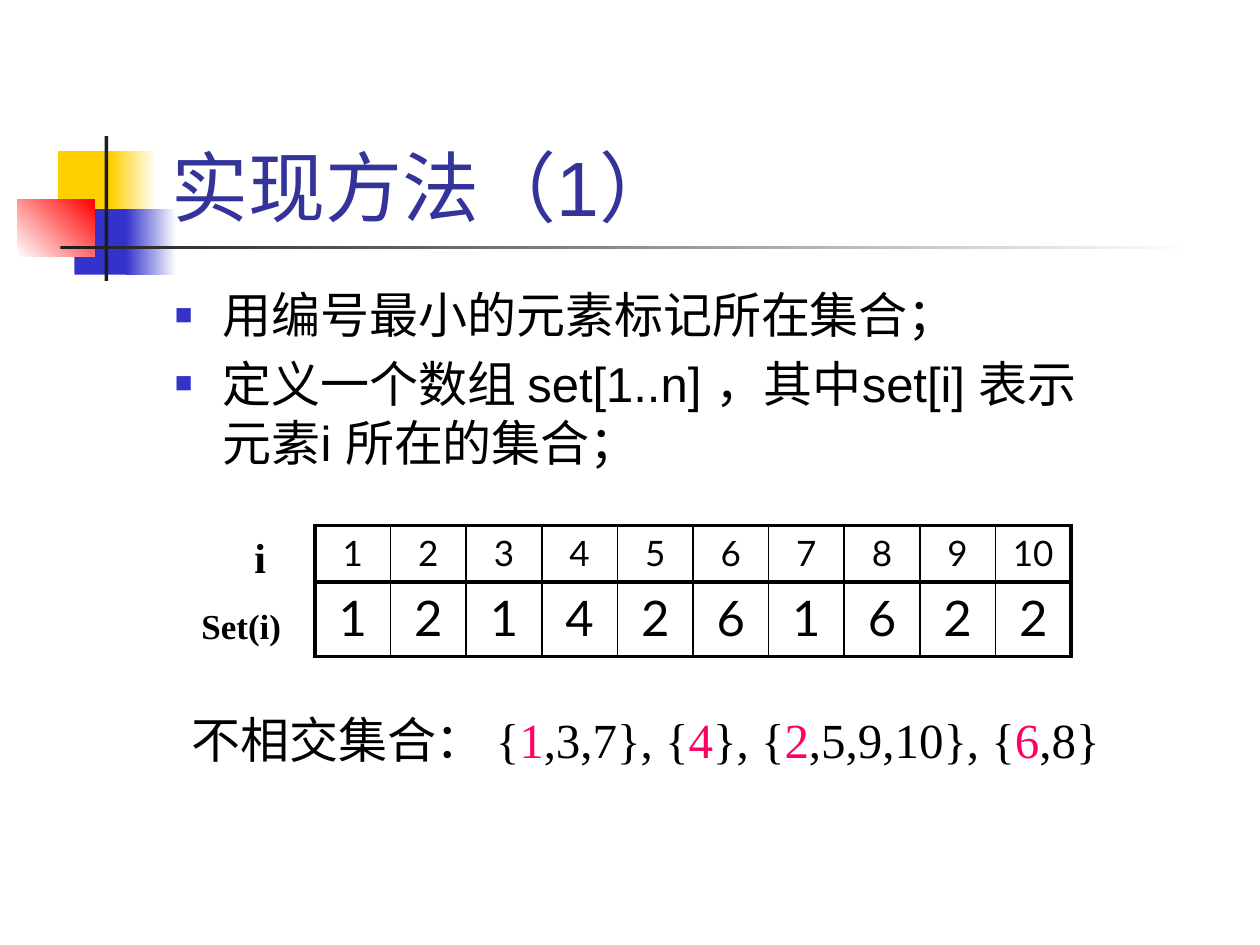
from dataclasses import dataclass

from lxml import etree
from pptx import Presentation
from pptx.dml.color import RGBColor
from pptx.enum import shapes, text
from pptx.oxml import ns
from pptx.util import Inches, Pt


@dataclass(frozen=True)
class Theme:
    gold: str = "FFCF01"
    blue: str = "3333CC"
    red: str = "FF0000"
    white: str = "FFFFFF"
    dark: str = "1C1C1C"
    navy: str = "333399"
    black: str = "000000"
    pink: str = "FF0066"
    sans: str = "Arial"
    serif: str = "Times New Roman"
    digit: str = "Lato"
    head: int = 44
    large: int = 28
    mid: int = 24
    small: int = 20
    thick: float = 2.25
    thin: float = 1


T = Theme()


def rgb(code):
    return RGBColor.from_string(code)


def style(para, face, size, color=T.black, bold=False):
    font = para.font
    font.name, font.size, font.bold = face, Pt(size), bold
    font.color.rgb = rgb(color)


def add_rect(slide, box, first, last=None, angle=0):
    rect = slide.shapes.add_shape(
        shapes.MSO_SHAPE.RECTANGLE, *map(Inches, box))
    rect.shadow.inherit = False
    rect.line.fill.background()
    if last is None:
        rect.fill.solid()
        rect.fill.fore_color.rgb = rgb(first)
        return
    rect.fill.gradient()
    rect.fill.gradient_angle = angle
    for stop, color in zip(rect.fill.gradient_stops, (first, last)):
        stop.color.rgb = rgb(color)


def add_motif(slide, left, top):
    parts = (
        ((0.32, 0.12, 0.48, 0.52), T.gold),
        ((0.74, 0.12, 0.36, 0.52), T.gold, T.white),
        ((0.45, 0.58, 0.46, 0.52), T.blue),
        ((0.86, 0.58, 0.4, 0.52), T.blue, T.white),
        ((0, 0.5, 0.61, 0.46), T.white, T.red, 45),
        ((0.69, 0, 0.03, 1.15), T.dark),
        ((0.34, 0.87, 9, 0.03), T.dark, T.white),
    )
    for (x, y, wide, high), *paint in parts:
        add_rect(slide, (left + x, top + y, wide, high), *paint)


def add_title(slide, box, words):
    title = slide.shapes.title
    title.left, title.top, title.width, title.height = map(Inches, box)
    frame = title.text_frame
    frame.text = words
    frame.vertical_anchor = text.MSO_ANCHOR.BOTTOM
    para = frame.paragraphs[0]
    para.alignment = text.PP_ALIGN.LEFT
    style(para, T.sans, T.head, T.navy)


def add_frame(slide, box, wrap=True):
    frame = slide.shapes.add_textbox(*map(Inches, box)).text_frame
    frame.word_wrap = wrap
    return frame


def add_bullet(para):
    props = para._p.get_or_add_pPr()
    props.set("marL", str(Inches(0.38)))
    props.set("indent", str(-Inches(0.38)))
    color = etree.SubElement(props, ns.qn("a:buClr"))
    etree.SubElement(color, ns.qn("a:srgbClr"), val=T.blue)
    etree.SubElement(props, ns.qn("a:buSzPct"), val="60000")
    etree.SubElement(props, ns.qn("a:buFont"), typeface=T.sans)
    etree.SubElement(props, ns.qn("a:buChar"), char="■")


def add_points(slide, box, points):
    frame = add_frame(slide, box)
    for n, point in enumerate(points):
        para = frame.add_paragraph() if n else frame.paragraphs[0]
        para.text = point
        add_bullet(para)
        if n:
            para.space_before = Pt(0.2 * T.large)
        style(para, T.sans, T.large)


def add_edges(cell, left, right):
    props = cell._tc.get_or_add_tcPr()
    for side, wide in zip("LRTB", (left, right, T.thick, T.thick)):
        line = etree.SubElement(
            props, ns.qn(f"a:ln{side}"), w=str(Pt(wide)))
        fill = etree.SubElement(line, ns.qn("a:solidFill"))
        etree.SubElement(fill, ns.qn("a:srgbClr"), val=T.black)


def add_grid(slide, box, rows):
    count = len(rows[0][2])
    table = slide.shapes.add_table(
        len(rows), count, *map(Inches, box)).table
    table.first_row = table.horz_banding = False
    for col in table.columns:
        col.width = Inches(box[2] / count)
    for r, (high, size, values) in enumerate(rows):
        table.rows[r].height = Inches(high)
        for c, value in enumerate(values):
            cell = table.cell(r, c)
            cell.text = str(value)
            para = cell.text_frame.paragraphs[0]
            para.alignment = text.PP_ALIGN.CENTER
            style(para, T.digit, size)
            add_edges(cell, T.thin if c else T.thick,
                      T.thin if c < count - 1 else T.thick)
            cell.fill.background()


def add_label(slide, box, words, size, wrap=True):
    para = add_frame(slide, box, wrap).paragraphs[0]
    para.text = words
    style(para, T.serif, size, bold=True)


def add_sets(slide, box, parts):
    para = add_frame(slide, box).paragraphs[0]
    style(para, T.serif, T.large)
    for n, part in enumerate(parts):
        run = para.add_run()
        run.text = part
        run.font.color.rgb = rgb(T.pink if n % 2 else T.black)


def main():
    deck = Presentation()
    deck.slide_width, deck.slide_height = Inches(10), Inches(7.5)
    slide = deck.slides.add_slide(deck.slide_layouts.get_by_name("Title Only"))
    add_motif(slide, 0.14, 1.08)
    add_title(slide, (1.26, 0.23, 8.64, 1.66), "实现方法（1）")
    add_points(slide, (1.29, 2.21, 7.65, 1.78), (
        "用编号最小的元素标记所在集合；",
        "定义一个数组 set[1..n] ，其中set[i] 表示元素i 所在的集合；",
    ))
    add_grid(slide, (2.5, 4.17, 6, 1.04), (
        (0.45, T.small, range(1, 11)),
        (0.59, T.large, (1, 2, 1, 4, 2, 6, 1, 6, 2, 2)),
    ))
    add_label(slide, (1.92, 4.17, 0.29, 0.5), "i", T.mid, wrap=False)
    add_label(slide, (1.5, 4.75, 0.92, 0.43), "Set(i)", T.small)
    add_sets(slide, (1.42, 5.58, 7.58, 0.57), (
        "不相交集合： {", "1", ",3,7}, {", "4", "}, {",
        "2", ",5,9,10}, {", "6", ",8}",
    ))
    deck.save("out.pptx")


if __name__ == "__main__":
    main()
